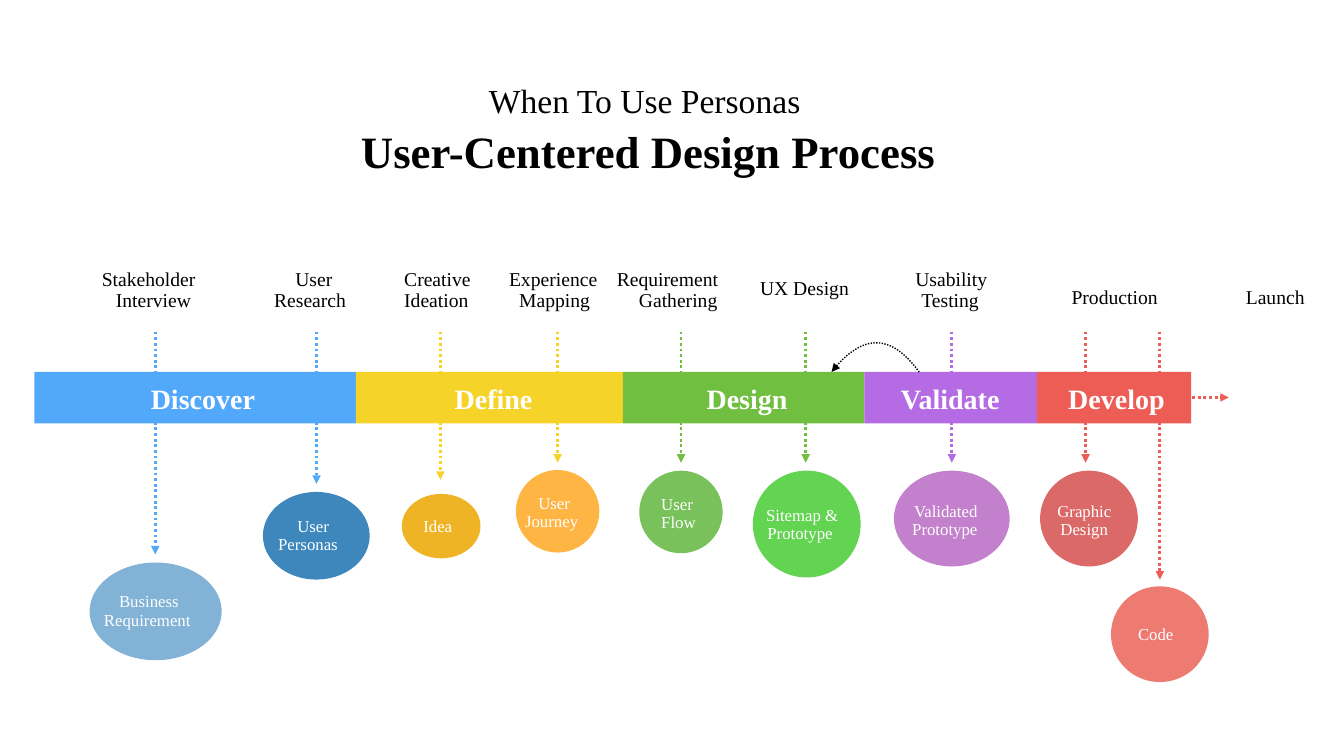
from dataclasses import dataclass

from lxml.etree import SubElement
from pptx import Presentation
from pptx.dml.color import RGBColor
from pptx.enum.dml import MSO_LINE
from pptx.enum.shapes import MSO_CONNECTOR, MSO_SHAPE
from pptx.enum.text import MSO_ANCHOR, MSO_AUTO_SIZE, PP_ALIGN
from pptx.oxml.ns import qn
from pptx.util import Pt

BLACK = RGBColor(0x00, 0x00, 0x00)
WHITE = RGBColor(0xFF, 0xFF, 0xFF)
BLUE = RGBColor(0x52, 0xA8, 0xFA)
YELLOW = RGBColor(0xF5, 0xD3, 0x28)
GREEN = RGBColor(0x70, 0xBF, 0x40)
PURPLE = RGBColor(0xB4, 0x6B, 0xE3)
RED = RGBColor(0xED, 0x5D, 0x56)
PALE_BLUE = RGBColor(0x82, 0xB3, 0xD6)
DEEP_BLUE = RGBColor(0x3D, 0x87, 0xBD)
AMBER = RGBColor(0xEF, 0xB4, 0x26)
ORANGE = RGBColor(0xFF, 0xB5, 0x44)
LEAF = RGBColor(0x79, 0xC1, 0x5B)
LIME = RGBColor(0x63, 0xD4, 0x52)
LILAC = RGBColor(0xC3, 0x80, 0xCC)
ROSE = RGBColor(0xDA, 0x69, 0x68)
CORAL = RGBColor(0xED, 0x7B, 0x72)

BAND_TOP, BAND_HEIGHT, BAND_END = 265.7, 36.7, 850.8
ARROW_TOP, ARROW_END = 236.9, 330.5
LABEL_TOP = 190.8


@dataclass
class Line:
    text: str
    spacing: float
    size: float
    indent: float = 0
    bold: bool = False
    color: RGBColor = BLACK


@dataclass
class Phase:
    name: str
    left: float
    text_left: float
    color: RGBColor


@dataclass
class Activity:
    left: float
    words: list[str]
    indents: tuple[float, float] = (0, 0)
    top: float = LABEL_TOP


@dataclass
class Bubble:
    box: tuple[float, float, float, float]
    color: RGBColor
    text_left: float
    text_top: float
    words: list[str]
    indents: tuple[float, float] = (0, 0)


@dataclass
class Arrow:
    x: float
    color: RGBColor
    end: float = ARROW_END


PHASES = [
    Phase("Discover", 24.5, 107.7, BLUE),
    Phase("Define", 254.2, 324.7, YELLOW),
    Phase("Design", 445, 504.7, GREEN),
    Phase("Validate", 617.4, 643.5, PURPLE),
    Phase("Develop", 740.6, 763, RED),
]
ACTIVITIES = [
    Activity(72.7, ["Stakeholder", "Interview"], (0, 10.1)),
    Activity(195.8, ["User", "Research"], (15.1, 0)),
    Activity(288.7, ["Creative", "Ideation"]),
    Activity(363.6, ["Experience", "Mapping"], (0, 7.2)),
    Activity(440.6, ["Requirement", "Gathering"], (0, 15.8)),
    Activity(542.9, ["UX Design"], top=197.3),
    Activity(653.8, ["Usability", "Testing"], (0, 4.3)),
    Activity(765.4, ["Production"], top=203.8),
    Activity(889.9, ["Launch"], top=203.8),
]
BUBBLES = [
    Bubble((64, 401.8, 94.3, 69.8), PALE_BLUE, 74.2, 422.6, ["Business", "Requirement"], (10.8, 0)),
    Bubble((187.8, 351.4, 76.3, 62.6), DEEP_BLUE, 198.7, 368.6, ["User", "Personas"], (13.7, 0)),
    Bubble((287, 352.8, 56.2, 46), AMBER, 302.4, 368.6, ["Idea"]),
    Bubble((368.5, 335.7, 59.6, 59), ORANGE, 375.1, 352.1, ["User", "Journey"], (9.4, 0)),
    Bubble((456.6, 336.2, 59.6, 59), LEAF, 472.3, 352.8, ["User", "Flow"]),
    Bubble((537.8, 336.2, 77, 76.3), LIME, 547.2, 360.7, ["Sitemap &", "Prototype"], (0, 1)),
    Bubble((638.6, 336.2, 82.6, 68.4), LILAC, 651.6, 357.8, ["Validated", "Prototype"], (1.4, 0)),
    Bubble((743, 336.2, 69.8, 68.4), ROSE, 755.3, 357.8, ["Graphic", "Design"], (0, 2.2)),
    Bubble((793.6, 418.8, 69.8, 68.4), CORAL, 812.9, 445.7, ["Code"]),
]
ARROWS = [
    Arrow(110.9, BLUE, 396), Arrow(226.1, BLUE, 345.6),
    Arrow(314.6, YELLOW, 342.7), Arrow(398.3, YELLOW),
    Arrow(486.5, GREEN), Arrow(575.5, GREEN), Arrow(679.9, PURPLE),
    Arrow(775.4, RED), Arrow(828.5, RED, 414),
]


def write_lines(shape, lines: list[Line]) -> None:
    frame = shape.text_frame
    for index, line in enumerate(lines):
        paragraph = frame.paragraphs[0] if index == 0 else frame.add_paragraph()
        paragraph.text = line.text
        paragraph._p.get_or_add_pPr().set("marL", str(int(Pt(line.indent))))
        paragraph_format = {"alignment": PP_ALIGN.LEFT, "space_before": Pt(0),
                            "line_spacing": Pt(line.spacing)}
        for name, value in paragraph_format.items():
            setattr(paragraph, name, value)
        font_format = {"name": "Times New Roman", "size": Pt(line.size), "bold": line.bold}
        for name, value in font_format.items():
            setattr(paragraph.font, name, value)
        paragraph.font.color.rgb = line.color


def format_frame(shape, left: float = 0, top: float = 0) -> None:
    frame_format = {"margin_left": Pt(left), "margin_top": Pt(top), "margin_right": Pt(0),
                    "margin_bottom": Pt(0), "word_wrap": False,
                    "auto_size": MSO_AUTO_SIZE.NONE, "vertical_anchor": MSO_ANCHOR.TOP}
    for name, value in frame_format.items():
        setattr(shape.text_frame, name, value)


def add_words(slide, left: float, top: float, lines: list[Line]) -> None:
    width = max(len(line.text) * line.size * 0.48 + line.indent for line in lines)
    height = sum(line.spacing for line in lines) + 4
    shape = slide.shapes.add_textbox(Pt(left), Pt(top), Pt(width), Pt(height))
    format_frame(shape)
    write_lines(shape, lines)


def add_filled(slide, kind: MSO_SHAPE, box: tuple[float, float, float, float], color: RGBColor):
    shape = slide.shapes.add_shape(kind, *(Pt(length) for length in box))
    shape.shadow.inherit = False
    shape.fill.solid()
    shape.fill.fore_color.rgb = color
    shape.line.fill.background()
    return shape


def dot_line(shape, color: RGBColor, width: float, arrow_side: str) -> None:
    shape.line.color.rgb = color
    shape.line.width = Pt(width)
    shape.line.dash_style = MSO_LINE.ROUND_DOT
    SubElement(shape.line._get_or_add_ln(), qn(f"a:{arrow_side}"), type="triangle")


def add_arrow(slide, start: tuple[float, float], end: tuple[float, float], color: RGBColor) -> None:
    points = (Pt(length) for length in (*start, *end))
    connector = slide.shapes.add_connector(MSO_CONNECTOR.STRAIGHT, *points)
    dot_line(connector, color, 2, "tailEnd")
    SubElement(connector._element.spPr, qn("a:effectLst"))


def add_return_arc(slide) -> None:
    controls = [(594, 265.7), (616.3, 237.6), (636.5, 238.3), (656.6, 265.7)]
    steps = 24
    points = []
    for step in range(steps + 1):
        t = step / steps
        weights = ((1 - t) ** 3, 3 * t * (1 - t) ** 2, 3 * t * t * (1 - t), t ** 3)
        points.append(tuple(Pt(sum(weight * control[axis] for weight, control in zip(weights, controls)))
                            for axis in (0, 1)))
    builder = slide.shapes.build_freeform(*points[0])
    builder.add_line_segments(points[1:], close=False)
    arc = builder.convert_to_shape()
    arc.shadow.inherit = False
    arc.fill.background()
    dot_line(arc, BLACK, 1, "headEnd")


def main() -> None:
    presentation = Presentation()
    presentation.slide_width, presentation.slide_height = Pt(960), Pt(540)
    slide = presentation.slides.add_slide(presentation.slide_layouts[5])

    # Title
    title = slide.shapes.title
    title_box = {"left": Pt(257.8), "top": Pt(56.9), "width": Pt(416), "height": Pt(74)}
    for name, value in title_box.items():
        setattr(title, name, value)
    format_frame(title)
    write_lines(title, [Line("When To Use Personas", 29, 24, 91.4),
                        Line("User-Centered Design Process", 41, 32, bold=True)])

    # Arrows from activities to results
    for arrow in ARROWS:
        add_arrow(slide, (arrow.x, ARROW_TOP), (arrow.x, arrow.end), arrow.color)
    add_arrow(slide, (839.5, 283.9), (877.7, 283.9), RED)

    # Phase band
    ends = [phase.left for phase in PHASES[1:]] + [BAND_END]
    for phase, end in zip(PHASES, ends):
        box = (phase.left, BAND_TOP, end - phase.left, BAND_HEIGHT)
        band = add_filled(slide, MSO_SHAPE.RECTANGLE, box, phase.color)
        format_frame(band, phase.text_left - phase.left, 6.5)
        write_lines(band, [Line(phase.name, 24, 20, bold=True, color=WHITE)])
    add_return_arc(slide)

    # Activities above the band
    for activity in ACTIVITIES:
        rows = zip(activity.words, (16.5, 15), activity.indents)
        add_words(slide, activity.left, activity.top,
                  [Line(word, spacing, 14, indent) for word, spacing, indent in rows])

    # Results below the band
    for bubble in BUBBLES:
        add_filled(slide, MSO_SHAPE.OVAL, bubble.box, bubble.color)
        rows = zip(bubble.words, (14, 13), bubble.indents)
        add_words(slide, bubble.text_left, bubble.text_top,
                  [Line(word, spacing, 12, indent, color=WHITE) for word, spacing, indent in rows])

    presentation.save("out.pptx")


if __name__ == "__main__":
    main()
